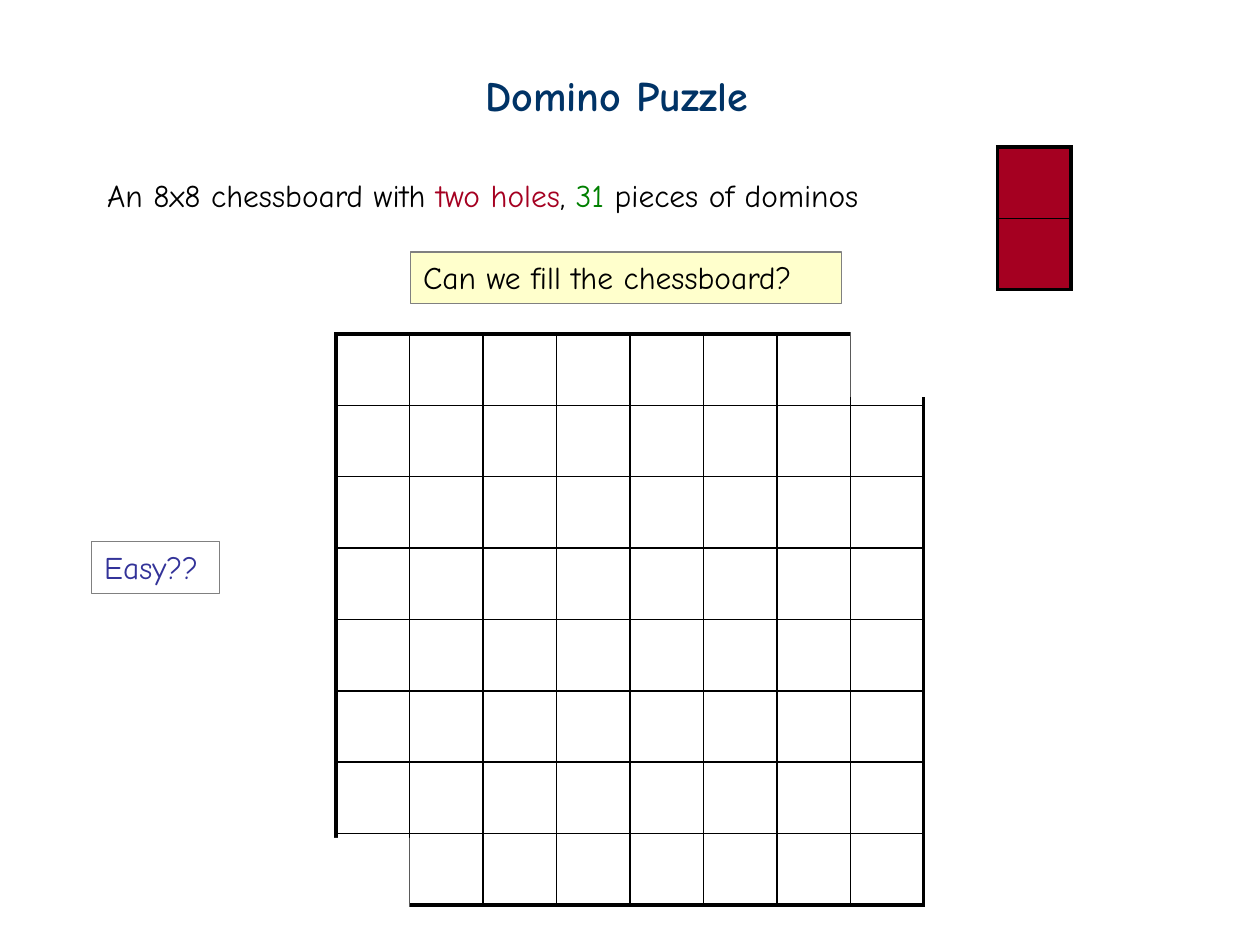
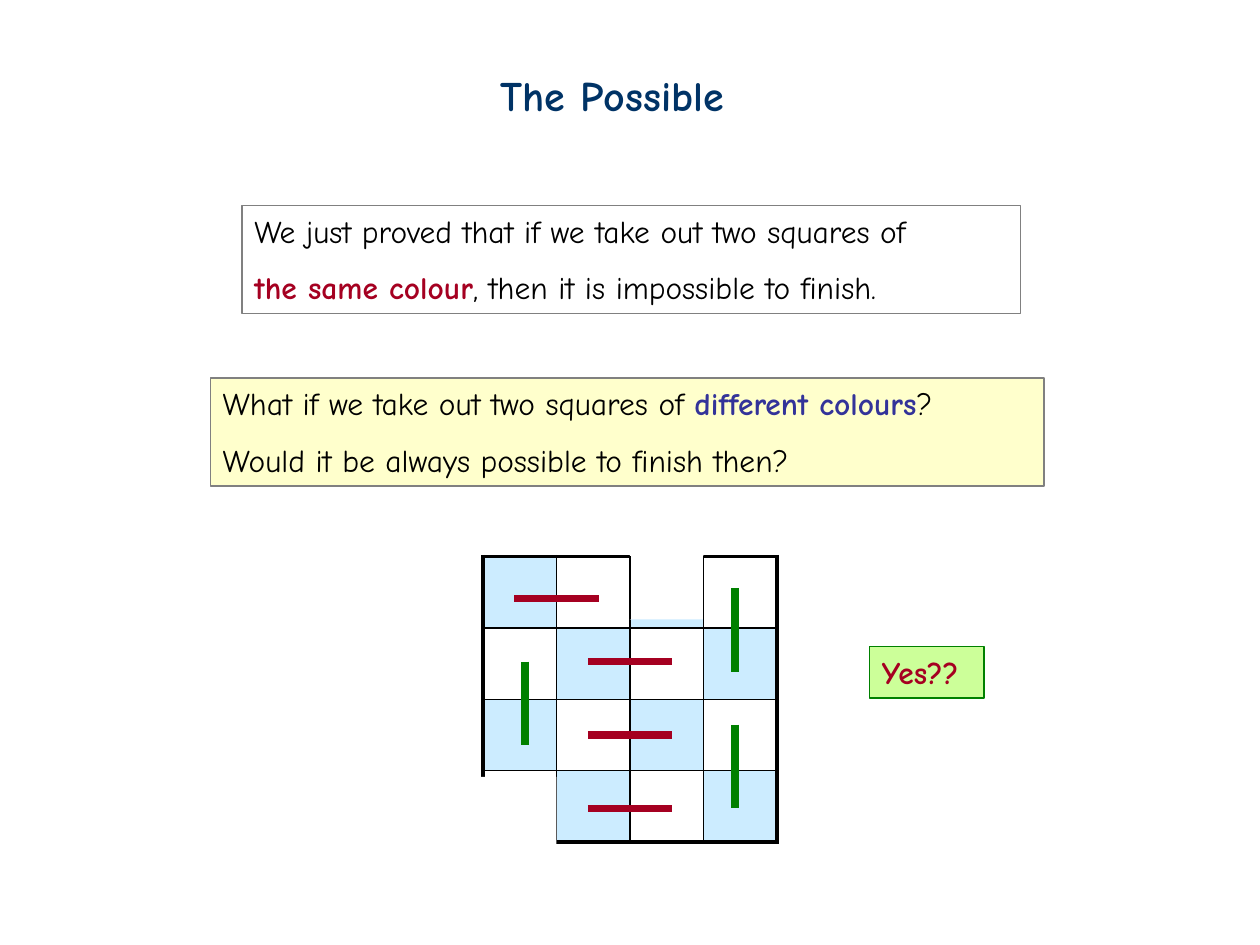
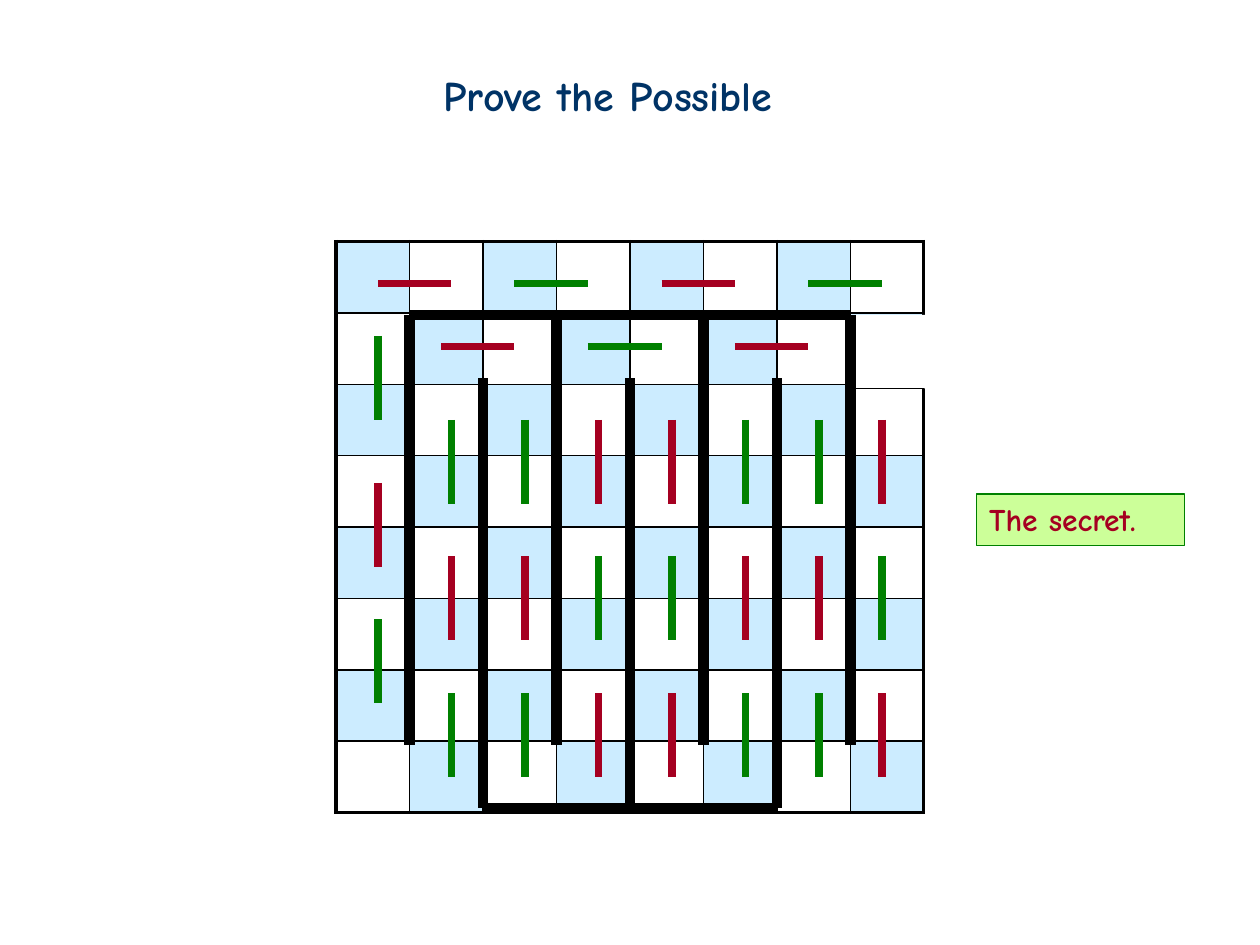
from dataclasses import dataclass
from typing import Any, Optional

import lxml.etree
import pptx
import pptx.dml.color
import pptx.enum.shapes
import pptx.enum.text
import pptx.oxml
import pptx.oxml.ns
import pptx.util


@dataclass(frozen=True)
class Theme:
    font: str = "Comic Neue"
    head: int = 24
    body: int = 18
    navy: str = "003366"
    black: str = "000000"
    white: str = "FFFFFF"
    red: str = "A50021"
    green: str = "008000"
    blue: str = "333399"
    gray: str = "808080"
    cream: str = "FFFFCC"
    lime: str = "CCFF99"
    sky: str = "CCECFF"
    thin: float = 0.75
    inner: float = 1
    outer: float = 2.25
    bar: float = 4.5
    wall: float = 6


@dataclass(frozen=True)
class Run:
    text: str
    tint: str
    bold: bool = False


@dataclass(frozen=True)
class Box:
    left: float
    top: float
    width: float
    height: float
    lines: list[list[Run]]
    fill: Optional[str] = None
    edge: Optional[str] = None


@dataclass(frozen=True)
class Board:
    left: float
    top: float
    rows: int
    cols: int
    even: Optional[str] = None
    odd: Optional[str] = None


@dataclass(frozen=True)
class Hole:
    left: float
    top: float
    width: float = 8
    height: float = 7


@dataclass(frozen=True)
class Stroke:
    x: float
    y: float
    dx: float
    dy: float
    tint: str
    width: float


LOOK = Theme()
UNIT = pptx.util.Cm(2.54) / 12
CELL_W, CELL_H = 7, 6.8
RECT = pptx.enum.shapes.MSO_SHAPE.RECTANGLE


def grid(count: float) -> int:
    return round(count * UNIT)


def shade(code: str) -> pptx.dml.color.RGBColor:
    return pptx.dml.color.RGBColor.from_string(code)


def apply(thing: Any, values: dict[str, Any]) -> None:
    for name, value in values.items():
        setattr(thing, name, value)


def paint(fill: Any, tint: Optional[str]) -> None:
    if tint:
        fill.solid()
        fill.fore_color.rgb = shade(tint)
    else:
        fill.background()


def write(shape: Any, lines: list[list[Run]], size: int) -> None:
    frame = shape.text_frame
    apply(frame, {
        "word_wrap": True,
        "auto_size": pptx.enum.text.MSO_AUTO_SIZE.NONE,
        "vertical_anchor": pptx.enum.text.MSO_ANCHOR.TOP,
    })
    for place, line in enumerate(lines):
        para = frame.add_paragraph() if place else frame.paragraphs[0]
        para.alignment = pptx.enum.text.PP_ALIGN.LEFT
        if place:
            para.line_spacing = 1.5
        for part in line:
            run = para.add_run()
            run.text = part.text
            apply(run.font, {"name": LOOK.font, "size": pptx.util.Pt(size), "bold": part.bold})
            run.font.color.rgb = shade(part.tint)


def start(deck: Any, text: str, left: float, width: float) -> Any:
    slide = deck.slides.add_slide(deck.slide_layouts[5])
    title = slide.shapes.title
    apply(title, {
        "left": pptx.util.Cm(left),
        "top": pptx.util.Cm(1.27),
        "width": pptx.util.Cm(width),
        "height": pptx.util.Cm(1.27),
    })
    write(title, [[Run(text, LOOK.navy, True)]], LOOK.head)
    return slide


def draw_box(slide: Any, box: Box) -> None:
    spot = [pptx.util.Cm(n) for n in (box.left, box.top, box.width, box.height)]
    if box.edge:
        shape = slide.shapes.add_shape(RECT, *spot)
        shape.shadow.inherit = False
        paint(shape.fill, box.fill)
        paint(shape.line.fill, box.edge)
        shape.line.width = pptx.util.Pt(LOOK.thin)
    else:
        shape = slide.shapes.add_textbox(*spot)
    write(shape, box.lines, LOOK.body)


def draw_hole(slide: Any, hole: Hole) -> None:
    spot = [grid(n) for n in (hole.left, hole.top, hole.width, hole.height)]
    shape = slide.shapes.add_shape(RECT, *spot)
    shape.shadow.inherit = False
    paint(shape.fill, LOOK.white)
    shape.line.fill.background()


def draw_stroke(slide: Any, stroke: Stroke) -> None:
    ends = (stroke.x, stroke.y, stroke.x + stroke.dx, stroke.y + stroke.dy)
    line = slide.shapes.add_connector(
        pptx.enum.shapes.MSO_CONNECTOR.STRAIGHT, *[grid(n) for n in ends])
    paint(line.line.fill, stroke.tint)
    line.line.width = pptx.util.Pt(stroke.width)
    lxml.etree.SubElement(line._element.spPr, pptx.oxml.ns.qn("a:effectLst"))


def border(cell: Any, rims: dict[str, bool]) -> None:
    props = cell._tc.get_or_add_tcPr()
    for place, (side, rim) in enumerate(rims.items()):
        width = pptx.util.Pt(LOOK.outer if rim else LOOK.inner)
        props.insert(place, pptx.oxml.parse_xml(
            f'<a:ln{side} {pptx.oxml.ns.nsdecls("a")} w="{width}"><a:solidFill>'
            f'<a:srgbClr val="{LOOK.black}"/></a:solidFill></a:ln{side}>'))


def draw_board(slide: Any, board: Board) -> None:
    spot = (board.left, board.top, board.cols * CELL_W, board.rows * CELL_H)
    table = slide.shapes.add_table(board.rows, board.cols, *[grid(n) for n in spot]).table
    apply(table, {"first_row": False, "horz_banding": False})
    for col in table.columns:
        col.width = grid(CELL_W)
    for y, row in enumerate(table.rows):
        row.height = grid(CELL_H)
        for x, cell in enumerate(row.cells):
            paint(cell.fill, board.odd if (x + y) % 2 else board.even)
            border(cell, {"L": x == 0, "R": x == board.cols - 1,
                          "T": y == 0, "B": y == board.rows - 1})


def across(x: float, y: float, tint: str, size: float = 7) -> Stroke:
    return Stroke(x, y, size, 0, tint, LOOK.bar)


def down(x: float, y: float, tint: str) -> Stroke:
    return Stroke(x, y, 0, 8, tint, LOOK.bar)


def draw(slide: Any, *items: Any) -> None:
    tools = {Box: draw_box, Board: draw_board, Hole: draw_hole, Stroke: draw_stroke}
    for item in items:
        tools[type(item)](slide, item)


def puzzle(deck: Any) -> None:
    draw(
        start(deck, "Domino Puzzle", 9.53, 6.22),
        Box(1.91, 3.43, 17.12, 1.02, [[
            Run("An 8x8 chessboard with ", LOOK.black),
            Run("two holes", LOOK.red),
            Run(", ", LOOK.black),
            Run("31", LOOK.green),
            Run(" pieces of dominos", LOOK.black),
        ]]),
        Board(95, 14, 2, 1, LOOK.red, LOOK.red),
        Board(32, 31.8, 8, 8),
        Box(8.28, 5.08, 8.69, 1.04, [[Run("Can we fill the chessboard?", LOOK.black)]],
            LOOK.cream, LOOK.gray),
        Hole(31, 79.8),
        Hole(81, 30.8),
        Box(1.85, 10.92, 2.57, 1.04, [[Run("Easy??", LOOK.blue)]], LOOK.white, LOOK.gray),
    )


def possible(deck: Any) -> None:
    draw(
        start(deck, "The Possible", 9.84, 5.59),
        Box(4.88, 4.14, 15.7, 2.18, [
            [Run("We just proved that if we take out two squares of", LOOK.black)],
            [Run("the same colour", LOOK.red, True),
             Run(", then it is impossible to finish.", LOOK.black)],
        ], None, LOOK.gray),
        Box(4.24, 7.62, 16.81, 2.18, [
            [Run("What if we take out two squares of ", LOOK.black),
             Run("different colours", LOOK.blue, True),
             Run("?", LOOK.black)],
            [Run("Would it be always possible to finish then?", LOOK.black)],
        ], LOOK.cream, LOOK.gray),
        Board(46, 53, 4, 4, LOOK.sky),
        Hole(45, 74),
        Hole(60, 50, 7, 9),
        Stroke(60, 53, 0, 6, LOOK.black, LOOK.thin),
        Stroke(67, 53, 0, 7, LOOK.black, LOOK.thin),
        *[across(x, y, LOOK.red, 8) for x, y in ((56, 77), (56, 70), (56, 63), (49, 57))],
        *[down(x, y, LOOK.green) for x, y in ((70, 69), (70, 56), (50, 63))],
        Box(17.53, 13.03, 2.31, 1.04, [[Run("Yes??", LOOK.red, True)]], LOOK.lime, LOOK.green),
    )


def prove(deck: Any) -> None:
    pair = (LOOK.red, LOOK.green)
    posts = [(43 + 7 * n, (n // 2 + 1) % 2) for n in range(6)] + [(84, 0)]
    walls = [(x, 30, 0, 41) for x in range(39, 82, 14)]
    walls += [(x, 36, 0, 41) for x in range(46, 75, 14)]
    walls += [(39, 30, 42, 0), (46, 77, 28, 0)]
    draw(
        start(deck, "Prove the Possible", 8.69, 7.95),
        Board(32, 23, 8, 8, LOOK.sky),
        Hole(81, 30),
        Stroke(81, 37, 7, 0, LOOK.black, LOOK.thin),
        *[down(36, y, pair[(n + 1) % 2]) for n, y in enumerate((32, 46, 59))],
        *[across(x, 27, pair[n % 2]) for n, x in enumerate((36, 49, 63, 77))],
        *[across(x, 33, pair[n % 2]) for n, x in enumerate((42, 56, 70))],
        *[down(x, 40 + 13 * n, pair[(first + n) % 2]) for x, first in posts for n in range(3)],
        Box(19.69, 9.96, 4.19, 1.04, [[Run("The secret.", LOOK.red, True)]],
            LOOK.lime, LOOK.green),
        *[Stroke(*wall, LOOK.black, LOOK.wall) for wall in walls],
    )


def main() -> None:
    deck = pptx.Presentation()
    apply(deck, {"slide_width": pptx.util.Cm(25.4), "slide_height": pptx.util.Cm(19.05)})
    for build in (puzzle, possible, prove):
        build(deck)
    deck.save("out.pptx")


if __name__ == "__main__":
    main()
